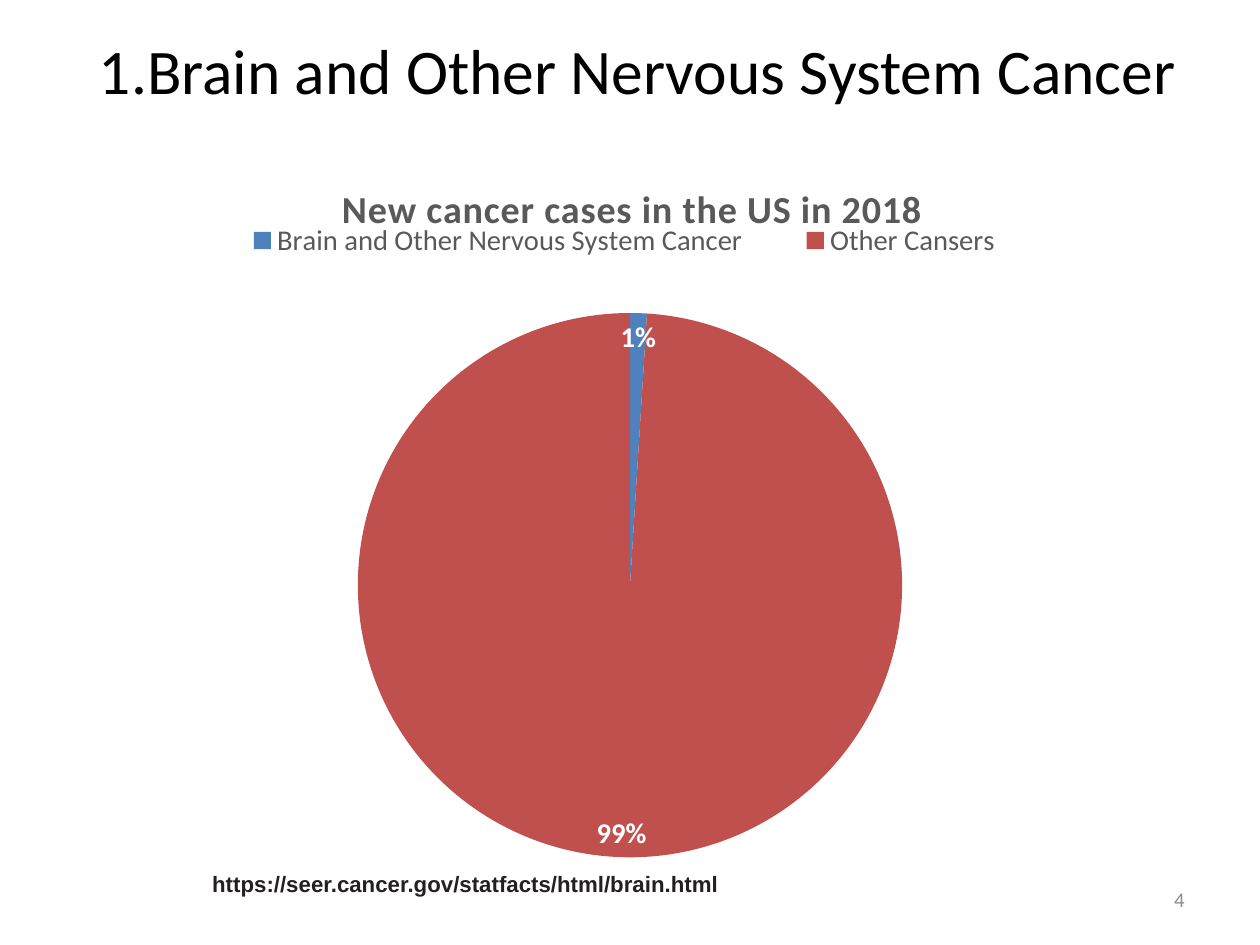
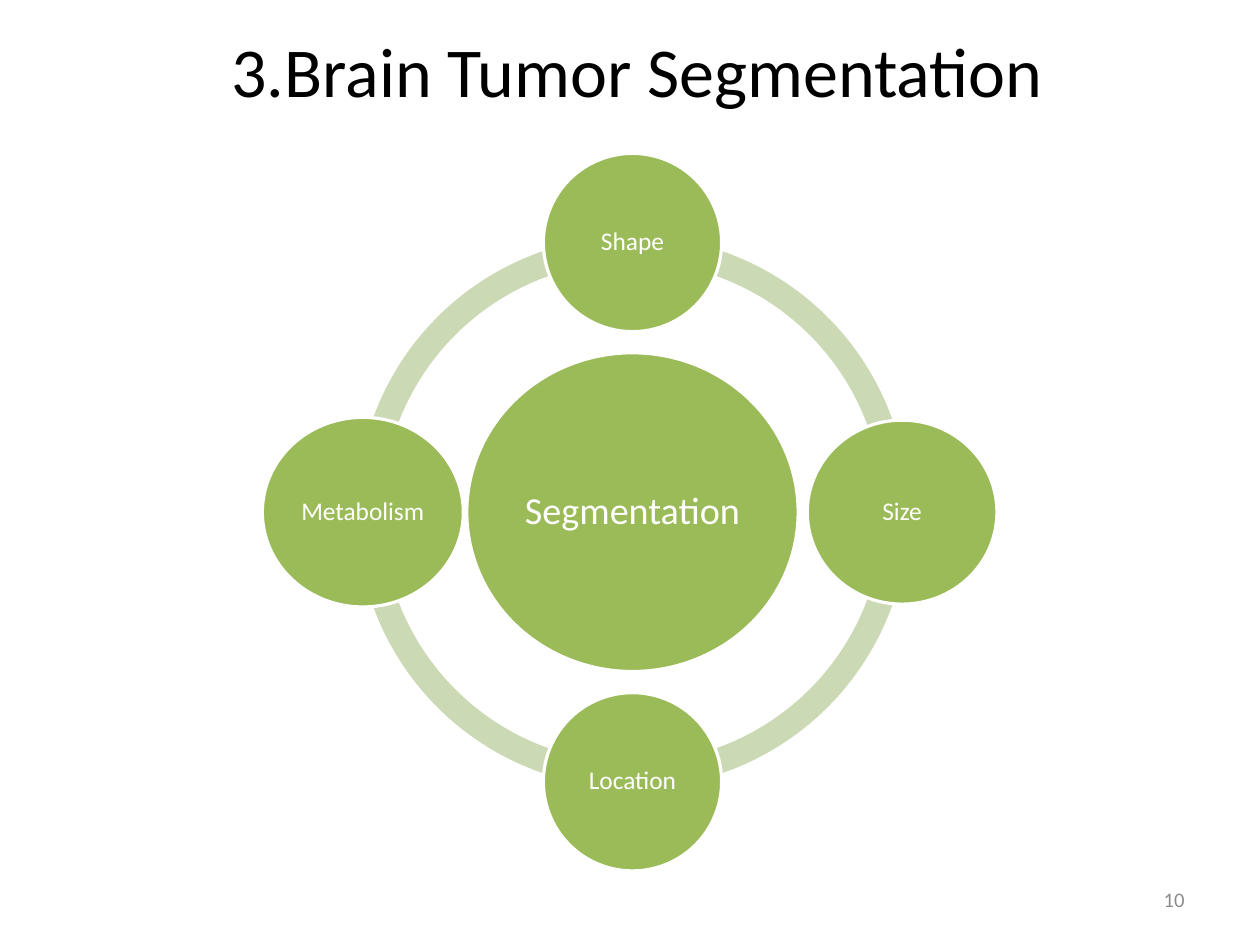
import lxml.etree
import pptx
import pptx.chart.data
import pptx.dml.color
import pptx.enum.chart
import pptx.enum.shapes
import pptx.enum.text
import pptx.oxml.ns
import pptx.util

FONT = "Calibri"
BLACK, WHITE, GREY, PAGE_GREY, URL_GREY = "000000", "FFFFFF", "595959", "8C8C8C", "242021"
BLUE, RED, GREEN, PALE_GREEN = "4F81BD", "C0504D", "9BBB59", "CBDAB5"
ALIGN = pptx.enum.text.PP_ALIGN
SHAPE = pptx.enum.shapes.MSO_SHAPE

presentation = pptx.Presentation()
presentation.slide_width = pptx.util.Cm(28)
presentation.slide_height = pptx.util.Cm(21)
cell = presentation.slide_width / 100


def grid(*columns_and_rows):
    return [round(count * cell) for count in columns_and_rows]


def write(shape, text, size, color, align=ALIGN.CENTER, name=FONT, bold=False):
    frame = shape.text_frame
    frame.auto_size = pptx.enum.text.MSO_AUTO_SIZE.NONE
    frame.word_wrap = True
    frame.vertical_anchor = pptx.enum.text.MSO_ANCHOR.MIDDLE
    paragraph = frame.paragraphs[0]
    paragraph.alignment = align
    run = paragraph.add_run()
    run.text = text
    run.font.name = name
    run.font.size = pptx.util.Pt(size)
    run.font.bold = bold
    run.font.color.rgb = pptx.dml.color.RGBColor.from_string(color)


layout = presentation.slide_layouts.get_by_name("Title Only")
title = layout.placeholders[0]
title.left, title.top, title.width, title.height = grid(5.6, 1.8, 90, 7.4)

slides = []
for heading, size, number in [
    ("1.Brain and Other Nervous System Cancer", 40, "4"),
    ("3.Brain Tumor Segmentation", 44.1, "10"),
]:
    slide = presentation.slides.add_slide(layout)
    write(slide.shapes.title, heading, size, BLACK)
    page_number = slide.shapes.add_textbox(*grid(71.6, 69.35, 23.3, 4))
    write(page_number, number, 13, PAGE_GREY, ALIGN.RIGHT)
    slides.append(slide)
chart_slide, diagram_slide = slides

chart_title = "New cancer cases in the US in 2018"
chart_data = pptx.chart.data.CategoryChartData()
chart_data.categories = ["Brain and Other Nervous System Cancer", "Other Cansers"]
chart_data.add_series(chart_title, [1, 99])
chart = chart_slide.shapes.add_chart(
    pptx.enum.chart.XL_CHART_TYPE.PIE, *grid(5, 12.25, 90, 57), chart_data
).chart
chart.font.name = FONT
chart.font.size = pptx.util.Pt(10)

chart.has_title = True
run = chart.chart_title.text_frame.paragraphs[0].add_run()
run.text = chart_title
chart.has_legend = True
chart.legend.position = pptx.enum.chart.XL_LEGEND_POSITION.TOP
chart.legend.include_in_layout = False
plot = chart.plots[0]
plot.vary_by_categories = True
plot.has_data_labels = True
labels = plot.data_labels
labels.show_percentage = True
labels.show_value = False
labels.number_format = "0%"
labels.number_format_is_linked = False
labels.position = pptx.enum.chart.XL_LABEL_POSITION.INSIDE_END

for font, size, color, bold in [
    (run.font, 24, GREY, True),
    (chart.legend.font, 18, GREY, False),
    (labels.font, 18, WHITE, True),
]:
    font.name = FONT
    font.size = pptx.util.Pt(size)
    font.bold = bold
    font.color.rgb = pptx.dml.color.RGBColor.from_string(color)
run._r.get_or_add_rPr().set("spc", "50")

for index, color in enumerate([BLUE, RED]):
    fill = plot.series[0].points[index].format.fill
    fill.solid()
    fill.fore_color.rgb = pptx.dml.color.RGBColor.from_string(color)

qualify = pptx.oxml.ns.qn
plot_area = chart._chartSpace.find(".//" + qualify("c:plotArea"))
for element, position, settings in [
    (chart.chart_title._element, 1, {"xMode": "edge", "yMode": "edge", "x": 0.24, "y": 0.03}),
    (chart.legend._element, 1,
     {"xMode": "edge", "yMode": "edge", "x": 0.12, "y": 0.09, "w": 0.75, "h": 0.06}),
    (plot_area, 0,
     {"layoutTarget": "inner", "xMode": "edge", "yMode": "edge",
      "x": 0.26, "y": 0.22, "w": 0.48, "h": 0.76}),
]:
    for old_layout in element.findall(qualify("c:layout")):
        element.remove(old_layout)
    new_layout = lxml.etree.Element(qualify("c:layout"))
    manual = lxml.etree.SubElement(new_layout, qualify("c:manualLayout"))
    for name, value in settings.items():
        lxml.etree.SubElement(manual, qualify("c:" + name)).set("val", str(value))
    element.insert(position, new_layout)

address = chart_slide.shapes.add_textbox(*grid(15.95, 68.3, 60, 3.6))
write(address, "https://seer.cancer.gov/statfacts/html/brain.html", 14, URL_GREY,
      ALIGN.LEFT, "Arial", True)

center_x, center_y = 50.2, 40.65
ring, orbit = 43.8, 21.4
for start in range(0, 360, 90):
    arc = diagram_slide.shapes.add_shape(
        SHAPE.BLOCK_ARC, *grid(center_x - ring / 2, center_y - ring / 2, ring, ring))
    arc.adjustments[0] = start * 0.6
    arc.adjustments[1] = (start + 90) % 360 * 0.6
    arc.adjustments[2] = 0.046
    arc.shadow.inherit = False
    arc.fill.solid()
    arc.fill.fore_color.rgb = pptx.dml.color.RGBColor.from_string(PALE_GREEN)
    arc.line.fill.background()

for text, size, across, down, width, height in [
    ("Segmentation", 24, 0, 0, 26.3, 25.3),
    ("Shape", 16, 0, -1, 14.15, 14.15),
    ("Size", 16, 1, 0, 15.05, 14.6),
    ("Location", 16, 0, 1, 14.15, 14.15),
    ("Metabolism", 16, -1, 0, 15.95, 15.05),
]:
    left = center_x + across * orbit - width / 2
    top = center_y + down * orbit - height / 2
    circle = diagram_slide.shapes.add_shape(SHAPE.OVAL, *grid(left, top, width, height))
    circle.shadow.inherit = False
    circle.fill.solid()
    circle.fill.fore_color.rgb = pptx.dml.color.RGBColor.from_string(GREEN)
    circle.line.color.rgb = pptx.dml.color.RGBColor.from_string(WHITE)
    circle.line.width = pptx.util.Pt(2)
    frame = circle.text_frame
    frame.margin_left = frame.margin_right = pptx.util.Inches(0.02)
    frame.margin_top = frame.margin_bottom = pptx.util.Inches(0.02)
    write(circle, text, size, WHITE)
    frame.paragraphs[0].line_spacing = 0.9

presentation.save("out.pptx")
